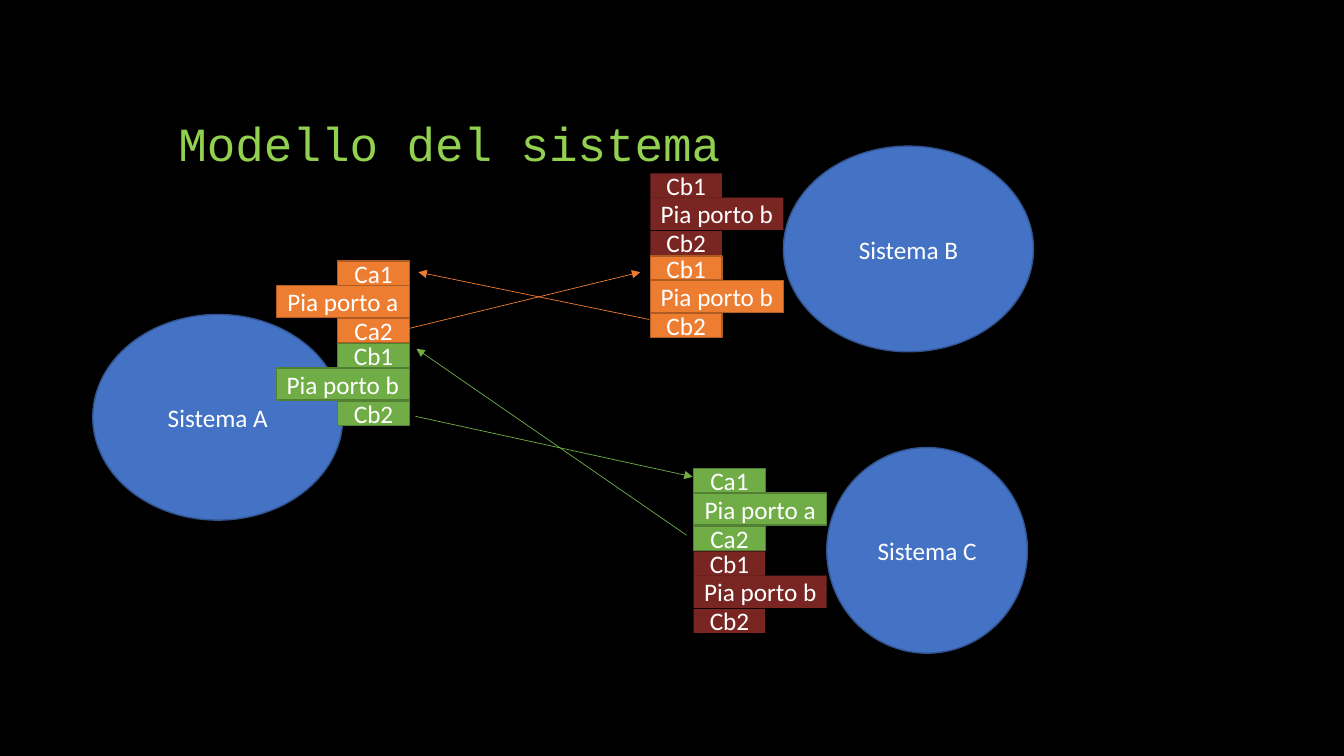
from lxml.etree import SubElement
from pptx import Presentation
from pptx.dml.color import RGBColor
from pptx.enum.shapes import MSO_CONNECTOR, MSO_SHAPE
from pptx.enum.text import MSO_ANCHOR, MSO_AUTO_SIZE, PP_ALIGN
from pptx.oxml.ns import qn
from pptx.util import Inches, Pt

BLACK = RGBColor(0x00, 0x00, 0x00)
WHITE = RGBColor(0xFF, 0xFF, 0xFF)
LIME = RGBColor(0x92, 0xD0, 0x50)
ORANGE = RGBColor(0xED, 0x7D, 0x31)
GREEN = RGBColor(0x70, 0xAD, 0x47)

# Style: fill, outline, opacity in percent
BLUE_STYLE = (RGBColor(0x44, 0x72, 0xC4), RGBColor(0x32, 0x54, 0x90), 100)
ORANGE_STYLE = (ORANGE, RGBColor(0xAF, 0x5C, 0x24), 100)
GREEN_STYLE = (GREEN, RGBColor(0x52, 0x7F, 0x34), 100)
RED_STYLE = (RGBColor(0xF3, 0x4D, 0x47), None, 50)

# Content: name, ellipse box, stack left and top, channel side, ports from the top
TITLE = "Modello del sistema"
SYSTEMS = [
    ("Sistema A", (0.92, 3.12, 2.48, 2.04), (2.74, 2.59), "right",
     [("a", ORANGE_STYLE), ("b", GREEN_STYLE)]),
    ("Sistema B", (7.77, 1.45, 2.48, 2.04), (6.45, 1.72), "left",
     [("b", RED_STYLE), ("b", ORANGE_STYLE)]),
    ("Sistema C", (8.2, 4.44, 1.99, 2.04), (6.88, 4.65), "left",
     [("a", GREEN_STYLE), ("b", RED_STYLE)]),
]
ARROWS = [
    ((4.05, 3.26), (6.35, 2.7), ORANGE),
    ((6.44, 3.17), (4.15, 2.7), ORANGE),
    ((4.12, 4.13), (6.87, 4.73), GREEN),
    ((6.81, 5.31), (4.13, 3.46), GREEN),
]

# Sizes within a stack: channel, port, channel
PORT_W, PORT_H = 1.32, 0.32
CHANNEL_W, CHANNEL_H = 0.71, 0.24
PORT_DY, CHANNEL2_DY, STACK_STEP = 0.24, 0.57, 0.82

prs = Presentation()
prs.slide_width, prs.slide_height = Inches(13.33), Inches(7.5)
s = prs.slides.add_slide(prs.slide_layouts[5])
s.background.fill.solid()
s.background.fill.fore_color.rgb = BLACK


def format_run(p, font, size, color):
    r = p.runs[0]
    r.font.name, r.font.size = font, Pt(size)
    r.font.color.rgb = color


def add_block(kind, box, text, style):
    fill, outline, opacity = style
    sp = s.shapes.add_shape(kind, *map(Inches, box))
    sp.shadow.inherit = False
    sp.fill.solid()
    sp.fill.fore_color.rgb = fill
    if opacity < 100:
        color = sp.fill._xPr.find(qn("a:solidFill"))[0]
        SubElement(color, qn("a:alpha"), val=str(opacity * 1000))
    if outline is None:
        sp.line.fill.background()
    else:
        sp.line.color.rgb = outline
        sp.line.width = Pt(1)
    tf = sp.text_frame
    tf.text = text
    tf.vertical_anchor = MSO_ANCHOR.MIDDLE
    tf.paragraphs[0].alignment = PP_ALIGN.CENTER
    format_run(tf.paragraphs[0], "Calibri", 18, WHITE)


def add_stack(left, top, side, letter, style):
    channel_left = left + (PORT_W - CHANNEL_W if side == "right" else 0)
    add_block(MSO_SHAPE.RECTANGLE, (left, top + PORT_DY, PORT_W, PORT_H),
              f"Pia porto {letter}", style)
    for number, dy in ((1, 0), (2, CHANNEL2_DY)):
        add_block(MSO_SHAPE.RECTANGLE,
                  (channel_left, top + dy, CHANNEL_W, CHANNEL_H),
                  f"C{letter}{number}", style)


# Title
title = s.shapes.title
title.left, title.top, title.width, title.height = map(Inches, (1.67, 0.5, 10, 1.25))
tf = title.text_frame
tf.text = TITLE
tf.auto_size = MSO_AUTO_SIZE.NONE
tf.vertical_anchor = MSO_ANCHOR.BOTTOM
p = tf.paragraphs[0]
p.alignment, p.line_spacing = PP_ALIGN.LEFT, 0.9
format_run(p, "Courier New", 34, LIME)

# Systems with their port stacks
for name, box, (left, top), side, ports in SYSTEMS:
    add_block(MSO_SHAPE.OVAL, box, name, BLUE_STYLE)
    for i, (letter, style) in enumerate(ports):
        add_stack(left, top + i * STACK_STEP, side, letter, style)

# Channel arrows
for start, end, color in ARROWS:
    arrow = s.shapes.add_connector(MSO_CONNECTOR.STRAIGHT, *map(Inches, start + end))
    arrow.line.color.rgb = color
    arrow.line.width = Pt(0.5)
    SubElement(arrow.line._get_or_add_ln(), qn("a:tailEnd"), type="triangle")
    SubElement(arrow._element.spPr, qn("a:effectLst"))

prs.save("out.pptx")
